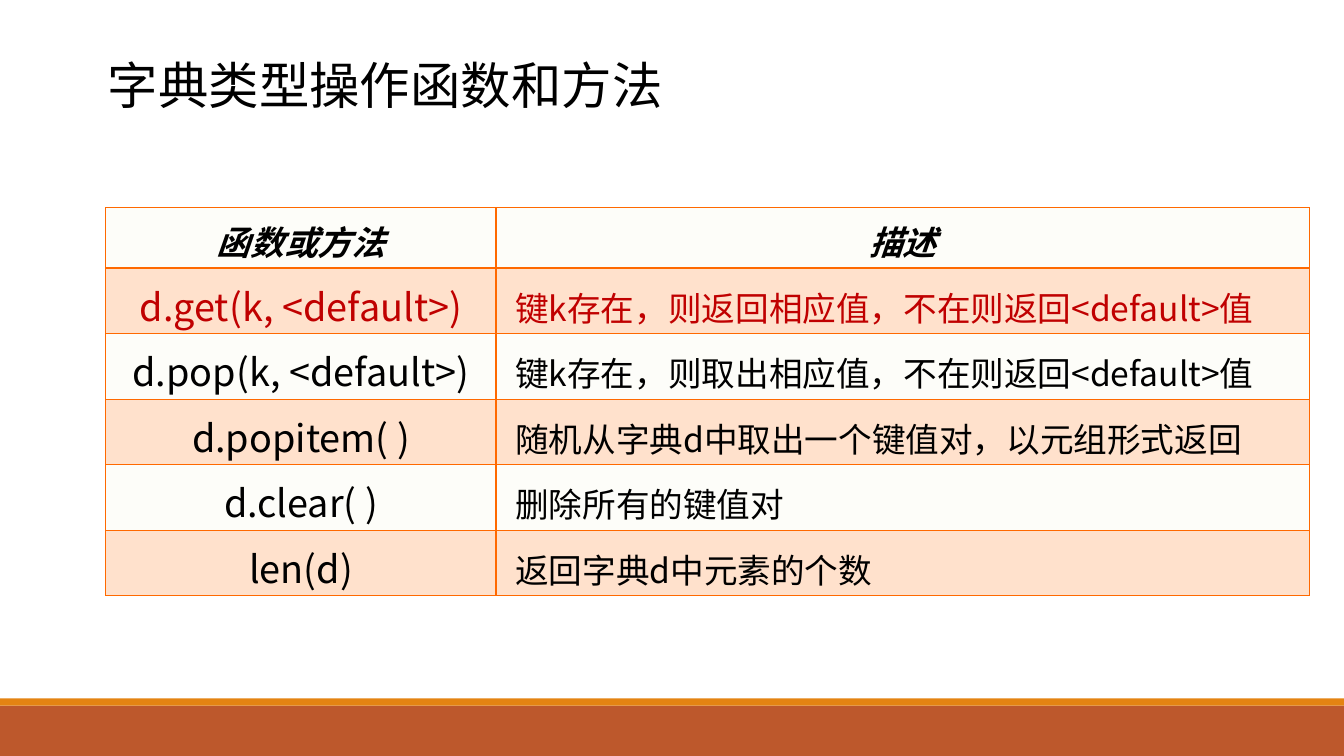
import pptx
import pptx.util
import pptx.dml.color
import pptx.enum.shapes
import pptx.enum.text
import pptx.oxml
import pptx.oxml.ns

Inches, Pt = pptx.util.Inches, pptx.util.Pt
RGB = pptx.dml.color.RGBColor.from_string
qn = pptx.oxml.ns.qn

THEME = {
    "font": "Noto Sans CJK SC",
    "ink": "000000",
    "highlight": "C00000",
    "paper": "FFFFFF",
    "grid": "FF6900",
    "plain_row": "FDFDF9",
    "tinted_row": "FFE1CC",
    "footer": "BD582C",
    "footer_edge": "E48312",
    "title_size": 36,
    "method_size": 27,
    "body_size": 24,
}
METHODS = [
    ("函数或方法", "描述"),
    ("d.get(k, <default>)", "键k存在，则返回相应值，不在则返回<default>值"),
    ("d.pop(k, <default>)", "键k存在，则取出相应值，不在则返回<default>值"),
    ("d.popitem( )", "随机从字典d中取出一个键值对，以元组形式返回"),
    ("d.clear( )", "删除所有的键值对"),
    ("len(d)", "返回字典d中元素的个数"),
]


def write(paragraph, margins, text, size, color, before, top, bold=False):
    margins.margin_left = margins.margin_right = margins.margin_bottom = 0
    margins.margin_top = Inches(top)
    paragraph.text = text
    paragraph.space_before = Pt(before)
    font = paragraph.font
    font.name, font.size = THEME["font"], Pt(size)
    font.bold = font.italic = bold
    font.color.rgb = RGB(color)
    defaults = paragraph._p.pPr.find(qn("a:defRPr"))
    east_asian = defaults.makeelement(qn("a:ea"), {"typeface": THEME["font"]})
    defaults.find(qn("a:latin")).addnext(east_asian)


def draw_borders(cell, widths):
    properties = cell._tc.get_or_add_tcPr()
    for position, (side, width) in enumerate(widths.items()):
        properties.insert(position, pptx.oxml.parse_xml(
            f'<a:{side} xmlns:a="http://schemas.openxmlformats.org/drawingml/2006/main" '
            f'w="{Pt(width)}"><a:solidFill><a:srgbClr val="{THEME["grid"]}"/>'
            f'</a:solidFill></a:{side}>'))


deck = pptx.Presentation()
deck.slide_width, deck.slide_height = Inches(13.33), Inches(7.5)
width, height = deck.slide_width, deck.slide_height
slide = deck.slides.add_slide(deck.slide_layouts[6])
slide.background.fill.solid()
slide.background.fill.fore_color.rgb = RGB(THEME["paper"])

footer_top = Inches(7)
edge_height = Inches(0.07)
for top, depth, color in (
    (footer_top, height - footer_top, "footer"),
    (footer_top - edge_height, edge_height, "footer_edge"),
):
    band = slide.shapes.add_shape(
        pptx.enum.shapes.MSO_SHAPE.RECTANGLE, 0, top, width, depth)
    band.shadow.inherit = False
    band.fill.solid()
    band.fill.fore_color.rgb = RGB(THEME[color])
    band.line.fill.background()

left = Inches(1.05)
title = slide.shapes.add_textbox(
    left, Inches(0.52), Inches(8.19), Inches(0.62)).text_frame
title.word_wrap = True
write(title.paragraphs[0], title, "字典类型操作函数和方法",
      THEME["title_size"], THEME["ink"], 1.3, 0.02)
title.paragraphs[0]._p.pPr.set("marL", str(Inches(0.02)))

columns = [Inches(3.87), Inches(8.07)]
rows = [Inches(0.6)] + [Inches(0.65)] * (len(METHODS) - 1)
methods = slide.shapes.add_table(
    len(rows), len(columns), left, Inches(2.06), sum(columns), sum(rows)).table
for column, column_width in zip(methods.columns, columns):
    column.width = column_width
for row, row_height in zip(methods.rows, rows):
    row.height = row_height

for r, entry in enumerate(METHODS):
    header = r == 0
    for c, text in enumerate(entry):
        cell = methods.cell(r, c)
        paragraph = cell.text_frame.paragraphs[0]
        description = c == 1 and not header
        size = THEME["body_size"] if header or description else THEME["method_size"]
        color = THEME["highlight"] if r == 1 else THEME["ink"]
        write(paragraph, cell, text, size, color, 7.7 if description else 4.8,
              0.14 if description else 0.09, header)
        if description:
            paragraph._p.pPr.set("marL", str(Inches(0.19)))
        else:
            paragraph.alignment = pptx.enum.text.PP_ALIGN.CENTER
        cell.fill.solid()
        cell.fill.fore_color.rgb = RGB(THEME["tinted_row" if r % 2 else "plain_row"])
        draw_borders(cell, {"lnL": 1, "lnR": 1, "lnT": 2.25 if r == 1 else 1,
                            "lnB": 2.25 if header else 1})

deck.save("out.pptx")
